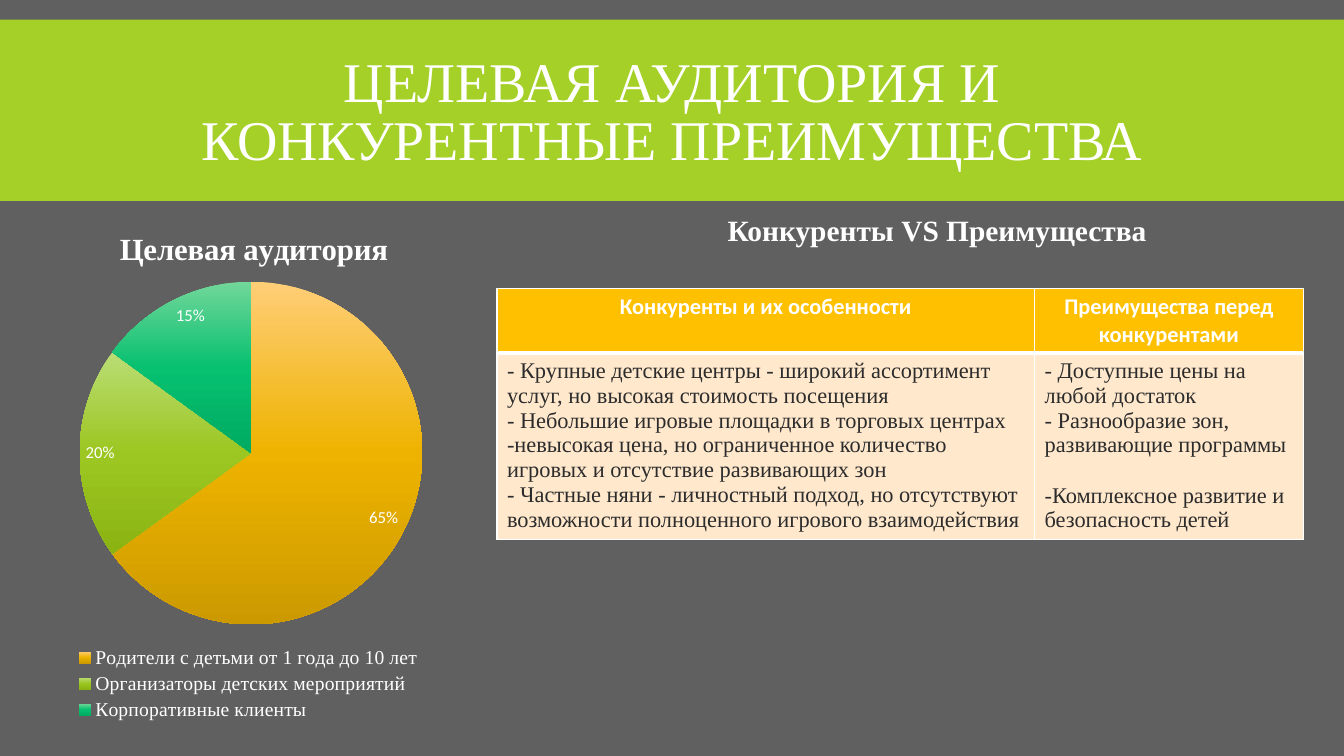
from lxml.etree import SubElement
from pptx import Presentation
from pptx.chart.data import CategoryChartData
from pptx.dml.color import RGBColor
from pptx.enum.chart import XL_CHART_TYPE as ChartType
from pptx.enum.chart import XL_LABEL_POSITION as LabelPosition
from pptx.enum.chart import XL_LEGEND_POSITION as LegendPosition
from pptx.enum.shapes import MSO_SHAPE as Shape
from pptx.enum.text import MSO_ANCHOR as Anchor
from pptx.enum.text import PP_ALIGN as Align
from pptx.oxml import parse_xml
from pptx.oxml.ns import nsdecls, qn
from pptx.util import Pt

COLORS = {"background": "606060", "band": "A5D028", "white": "FFFFFF",
          "header": "FFC000", "body": "FFE8CC", "ink": "2C2C2C"}
SERIF, SANS = "Times New Roman", "Calibri"

# Audience: name, share in percent, gradient from top to bottom
AUDIENCE = [
    ("Родители с детьми от 1 года до 10 лет", 65, ("FFCE77", "EEB300", "CC9A00")),
    ("Организаторы детских мероприятий", 20, ("BADD75", "9CC621", "8BB413")),
    ("Корпоративные клиенты", 15, ("72D79A", "07C070", "00AB61")),
]
HEADERS = ["Конкуренты и их особенности", "Преимущества перед конкурентами"]
COMPETITORS = [
    "- Крупные детские центры - широкий ассортимент услуг, но высокая стоимость посещения",
    "- Небольшие игровые площадки в торговых центрах -невысокая цена, "
    "но ограниченное количество игровых и отсутствие развивающих зон",
    "- Частные няни - личностный подход, но отсутствуют возможности "
    "полноценного игрового взаимодействия",
]
ADVANTAGES = [
    "- Доступные цены на любой достаток",
    "- Разнообразие зон, развивающие программы",
    "-Комплексное развитие и безопасность детей",
]


def rgb(name):
    return RGBColor.from_string(COLORS[name])


def paint(fill, name):
    fill.solid()
    fill.fore_color.rgb = rgb(name)


def style_font(font, size, name=SERIF, color="white", bold=False):
    for key, value in {"size": Pt(size), "name": name, "bold": bold}.items():
        setattr(font, key, value)
    font.color.rgb = rgb(color)


def place(item, left, top, width, height):
    box = {"left": left, "top": top, "width": width, "height": height}
    for key, value in box.items():
        setattr(item, key, Pt(value))


def add_band(slide):
    band = slide.shapes.add_shape(Shape.RECTANGLE, 0, Pt(14), Pt(960), Pt(129.6))
    band.shadow.inherit = False
    paint(band.fill, "band")
    band.line.fill.background()
    # Keep the band behind the title
    slide.shapes.element.insert(2, band.element)


def set_title(slide, text):
    title = slide.shapes.title
    place(title, 95, 22.3, 770, 118.8)
    frame = title.text_frame
    frame.text = text
    frame.vertical_anchor = Anchor.MIDDLE
    heading = frame.paragraphs[0]
    heading.alignment = Align.CENTER
    heading.line_spacing = 0.85
    style_font(heading.runs[0].font, 40)


def add_heading(slide, text):
    frame = slide.shapes.add_textbox(Pt(512.6), Pt(148.3), Pt(320), Pt(32.4)).text_frame
    frame.word_wrap = True
    frame.text = text
    style_font(frame.paragraphs[0].runs[0].font, 21, bold=True)


def chart_layout(target=None, **fractions):
    tags = {"layoutTarget": target} if target else {}
    tags.update({f"{axis}Mode": "edge" for axis in "xy"})
    tags.update(fractions)
    parts = "".join(f'<c:{tag} val="{value}"/>' for tag, value in tags.items())
    return parse_xml(f'<c:layout {nsdecls("c")}><c:manualLayout>{parts}'
                     "</c:manualLayout></c:layout>")


def gradient_fill(stops):
    marks = "".join(f'<a:gs pos="{i * 50000}"><a:srgbClr val="{stop}"/></a:gs>'
                    for i, stop in enumerate(stops))
    return parse_xml(f'<a:gradFill {nsdecls("a")} rotWithShape="1"><a:gsLst>{marks}'
                     '</a:gsLst><a:lin ang="5400000" scaled="0"/></a:gradFill>')


def add_audience_chart(slide):
    names, shares, gradients = zip(*AUDIENCE)
    data = CategoryChartData()
    data.categories = names
    data.add_series("Series 1", shares)
    chart = slide.shapes.add_chart(
        ChartType.PIE, 0, Pt(141), Pt(355), Pt(376.6), data).chart
    style_font(chart.font, 10, SANS)

    # Title
    title = chart.chart_title
    title.text_frame.text = "Целевая аудитория"
    style_font(title.text_frame.paragraphs[0].runs[0].font, 22, bold=True)
    title.include_in_layout = False
    for old in title._element.findall(qn("c:layout")):
        title._element.remove(old)
    title._element.find(qn("c:tx")).addnext(chart_layout(x=0.23, y=0.05))

    # Legend
    chart.has_legend = True
    chart.legend.position = LegendPosition.BOTTOM
    chart.legend.include_in_layout = False
    style_font(chart.legend.font, 14)

    # Slices and labels
    plot = chart.plots[0]
    plot.vary_by_categories = True
    area = plot._element.getparent()
    for old in area.findall(qn("c:layout")):
        area.remove(old)
    area.insert(0, chart_layout("inner", x=0.16, y=0.16, w=0.69, h=0.65))
    for i, stops in enumerate(gradients):
        line = plot.series[0].points[i].format.line
        line.fill.background()
        line._ln.addprevious(gradient_fill(stops))
    plot.has_data_labels = True
    labels = plot.data_labels
    settings = {"show_percentage": True, "show_value": False, "number_format": "0%",
                "number_format_is_linked": False, "position": LabelPosition.INSIDE_END}
    for key, value in settings.items():
        setattr(labels, key, value)
    style_font(labels.font, 12, SANS)


def set_borders(cell, bottom):
    widths = {"lnL": 1, "lnR": 1, "lnT": 1, "lnB": bottom}
    properties = cell._tc.get_or_add_tcPr()
    for i, (side, width) in enumerate(widths.items()):
        border = SubElement(properties, qn(f"a:{side}"), w=str(Pt(width)))
        fill = SubElement(border, qn("a:solidFill"))
        SubElement(fill, qn("a:srgbClr"), val=COLORS["white"])
        properties.insert(i, border)


def fill_cell(cell, lines, fill, bottom, align, **font):
    cell.text_frame.text = "\n".join(lines)
    for paragraph in cell.text_frame.paragraphs:
        paragraph.alignment = align
        style_font(paragraph.runs[0].font, 16, **font)
    paint(cell.fill, fill)
    set_borders(cell, bottom)


def add_comparison_table(slide):
    table = slide.shapes.add_table(2, 2, Pt(355), Pt(206), Pt(576), Pt(178)).table
    for column, width in zip(table.columns, (384, 192)):
        column.width = Pt(width)
    for row, height in zip(table.rows, (45, 133)):
        row.height = Pt(height)
    for i, (header, lines) in enumerate(zip(HEADERS, (COMPETITORS, ADVANTAGES))):
        fill_cell(table.cell(0, i), [header], "header", 3, Align.CENTER,
                  name=SANS, bold=True)
        fill_cell(table.cell(1, i), lines, "body", 1, Align.LEFT, color="ink")
    # The last advantage stands apart by one line
    table.cell(1, 1).text_frame.paragraphs[-1].space_before = Pt(18)


def main():
    deck = Presentation()
    deck.slide_width, deck.slide_height = Pt(960), Pt(540)
    slide = deck.slides.add_slide(deck.slide_layouts[5])
    paint(slide.background.fill, "background")
    add_band(slide)
    set_title(slide, "ЦЕЛЕВАЯ АУДИТОРИЯ И КОНКУРЕНТНЫЕ ПРЕИМУЩЕСТВА")
    add_audience_chart(slide)
    add_comparison_table(slide)
    add_heading(slide, "Конкуренты VS Преимущества")
    deck.save("out.pptx")


if __name__ == "__main__":
    main()
